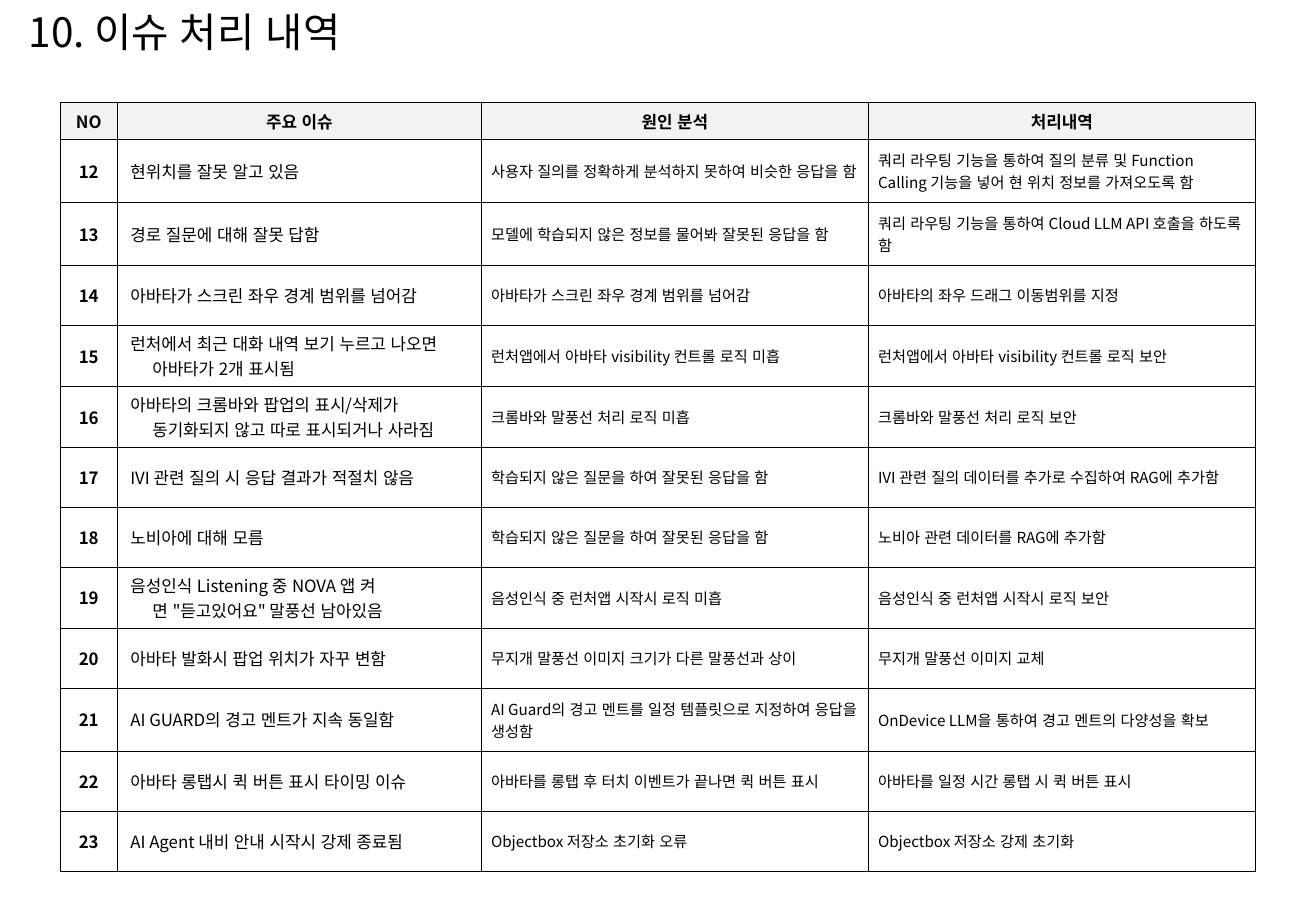
from dataclasses import dataclass

from lxml.etree import SubElement
from pptx import Presentation
from pptx.dml.color import RGBColor
from pptx.enum.lang import MSO_LANGUAGE_ID
from pptx.enum.text import MSO_ANCHOR, PP_ALIGN
from pptx.oxml.ns import qn
from pptx.util import Pt


@dataclass(frozen=True)
class Theme:
    font: str = "Noto Sans CJK KR"
    ink: RGBColor = RGBColor(0, 0, 0)
    paper: RGBColor = RGBColor(255, 255, 255)
    header: RGBColor = RGBColor(0xF2, 0xF2, 0xF2)
    title_size: float = 24
    label_size: float = 10
    detail_size: float = 9
    border: float = 0.5


@dataclass(frozen=True)
class CellStyle:
    """Insets are left, top, right and bottom."""
    size: float
    insets: tuple
    bold: bool = False
    align: PP_ALIGN = PP_ALIGN.LEFT
    hanging: tuple = ()
    fill: RGBColor = Theme.paper


THEME = Theme()
EVEN = (5.76,) * 4
HEADER = CellStyle(THEME.label_size, (0.72, 3.6, 0.72, 3.6), True, PP_ALIGN.CENTER,
                   fill=THEME.header)
NUMBER = CellStyle(THEME.label_size, EVEN, True, PP_ALIGN.CENTER)
ISSUE = CellStyle(THEME.label_size, (7.2, 3.6, 7.2, 3.6), hanging=(13.5, -13))
DETAIL = CellStyle(THEME.detail_size, EVEN)
BODY = (NUMBER, ISSUE, DETAIL, DETAIL)

COLUMNS = (34, 215.7, 229.4, 229.4)
HEADER_HEIGHT, ROW_HEIGHT = 22, 35.55
TWO_LINE_ISSUE, TWO_LINE_DETAIL = 36.15, 37.3
TALL_ROWS = {12: TWO_LINE_DETAIL, 13: TWO_LINE_DETAIL, 15: TWO_LINE_ISSUE,
             16: TWO_LINE_ISSUE, 19: TWO_LINE_ISSUE, 21: TWO_LINE_DETAIL}
FIRST_NUMBER = 12
HEADINGS = ("NO", "주요 이슈", "원인 분석", "처리내역")
ISSUES = (
    ("현위치를 잘못 알고 있음",
     "사용자 질의를 정확하게 분석하지 못하여 비슷한 응답을 함",
     "쿼리 라우팅 기능을 통하여 질의 분류 및 Function Calling 기능을 넣어 현 위치 정보를 가져오도록 함"),
    ("경로 질문에 대해 잘못 답함",
     "모델에 학습되지 않은 정보를 물어봐 잘못된 응답을 함",
     "쿼리 라우팅 기능을 통하여 Cloud LLM API 호출을 하도록 함"),
    ("아바타가 스크린 좌우 경계 범위를 넘어감",
     "아바타가 스크린 좌우 경계 범위를 넘어감",
     "아바타의 좌우 드래그 이동범위를 지정"),
    ("런처에서 최근 대화 내역 보기 누르고 나오면 아바타가 2개 표시됨",
     "런처앱에서 아바타 visibility 컨트롤 로직 미흡",
     "런처앱에서 아바타 visibility 컨트롤 로직 보안"),
    ("아바타의 크롬바와 팝업의 표시/삭제가 동기화되지 않고 따로 표시되거나 사라짐",
     "크롬바와 말풍선 처리 로직 미흡",
     "크롬바와 말풍선 처리 로직 보안"),
    ("IVI 관련 질의 시 응답 결과가 적절치 않음",
     "학습되지 않은 질문을 하여 잘못된 응답을 함",
     "IVI 관련 질의 데이터를 추가로 수집하여 RAG에 추가함"),
    ("노비아에 대해 모름",
     "학습되지 않은 질문을 하여 잘못된 응답을 함",
     "노비아 관련 데이터를 RAG에 추가함"),
    ("음성인식 Listening 중 NOVA 앱 켜면 \"듣고있어요\" 말풍선 남아있음",
     "음성인식 중 런처앱 시작시 로직 미흡",
     "음성인식 중 런처앱 시작시 로직 보안"),
    ("아바타 발화시 팝업 위치가 자꾸 변함",
     "무지개 말풍선 이미지 크기가 다른 말풍선과 상이",
     "무지개 말풍선 이미지 교체"),
    ("AI GUARD의 경고 멘트가 지속 동일함",
     "AI Guard의 경고 멘트를 일정 템플릿으로 지정하여 응답을 생성함",
     "OnDevice LLM을 통하여 경고 멘트의 다양성을 확보"),
    ("아바타 롱탭시 퀵 버튼 표시 타이밍 이슈",
     "아바타를 롱탭 후 터치 이벤트가 끝나면 퀵 버튼 표시",
     "아바타를 일정 시간 롱탭 시 퀵 버튼 표시"),
    ("AI Agent 내비 안내 시작시 강제 종료됨",
     "Objectbox 저장소 초기화 오류",
     "Objectbox 저장소 강제 초기화"),
)


def add_run(p, text, size, bold=False):
    r = p.add_run()
    r.text = text
    r.font.size = Pt(size)
    r.font.bold = bold
    r.font.name = THEME.font
    r.font.color.rgb = THEME.ink
    r.font.language_id = MSO_LANGUAGE_ID.KOREAN
    SubElement(r.font._element, qn("a:ea"), typeface=THEME.font)


def set_hanging(p, margin, indent):
    pPr = p._p.get_or_add_pPr()
    pPr.set("marL", str(Pt(margin)))
    pPr.set("indent", str(Pt(indent)))


def add_borders(cell):
    tcPr = cell._tc.get_or_add_tcPr()
    for i, side in enumerate(("lnL", "lnR", "lnT", "lnB")):
        ln = tcPr.makeelement(qn(f"a:{side}"), {"w": str(Pt(THEME.border))})
        fill = SubElement(ln, qn("a:solidFill"))
        SubElement(fill, qn("a:srgbClr"), val=str(THEME.ink))
        tcPr.insert(i, ln)


def fill_cell(cell, text, style):
    (cell.margin_left, cell.margin_top,
     cell.margin_right, cell.margin_bottom) = map(Pt, style.insets)
    cell.vertical_anchor = MSO_ANCHOR.MIDDLE
    cell.fill.solid()
    cell.fill.fore_color.rgb = style.fill
    add_borders(cell)
    p = cell.text_frame.paragraphs[0]
    p.alignment = style.align
    if style.hanging:
        set_hanging(p, *style.hanging)
    add_run(p, text, style.size, style.bold)


def add_title(s, left, top, width, height):
    sp = s.shapes.add_textbox(Pt(left), Pt(top), Pt(width), Pt(height))
    tf = sp.text_frame
    tf.word_wrap = True
    tf.vertical_anchor = MSO_ANCHOR.MIDDLE
    tf.margin_top = tf.margin_bottom = 0
    p = tf.paragraphs[0]
    set_hanging(p, 40.5, -40.5)
    add_run(p, "10. 이슈 처리 내역", THEME.title_size)


def add_issue_table(s, left, top):
    numbers = range(FIRST_NUMBER, FIRST_NUMBER + len(ISSUES))
    heights = [HEADER_HEIGHT] + [TALL_ROWS.get(n, ROW_HEIGHT) for n in numbers]
    frame = s.shapes.add_table(len(heights), len(COLUMNS), Pt(left), Pt(top),
                               Pt(sum(COLUMNS)), Pt(sum(heights)))
    table = frame.table
    table.horz_banding = False
    for column, width in zip(table.columns, COLUMNS):
        column.width = Pt(width)
    for row, height in zip(table.rows, heights):
        row.height = Pt(height)
    for cell, heading in zip(table.rows[0].cells, HEADINGS):
        fill_cell(cell, heading, HEADER)
    for i, (number, issue) in enumerate(zip(numbers, ISSUES), start=1):
        for cell, text, style in zip(table.rows[i].cells, (str(number), *issue), BODY):
            fill_cell(cell, text, style)


def main():
    prs = Presentation()
    prs.slide_width, prs.slide_height = Pt(780), Pt(540)
    s = prs.slides.add_slide(prs.slide_layouts[6])
    add_title(s, 10, 1.5, 684, 34)
    add_issue_table(s, 35.6, 60.75)
    prs.save("out.pptx")


if __name__ == "__main__":
    main()
